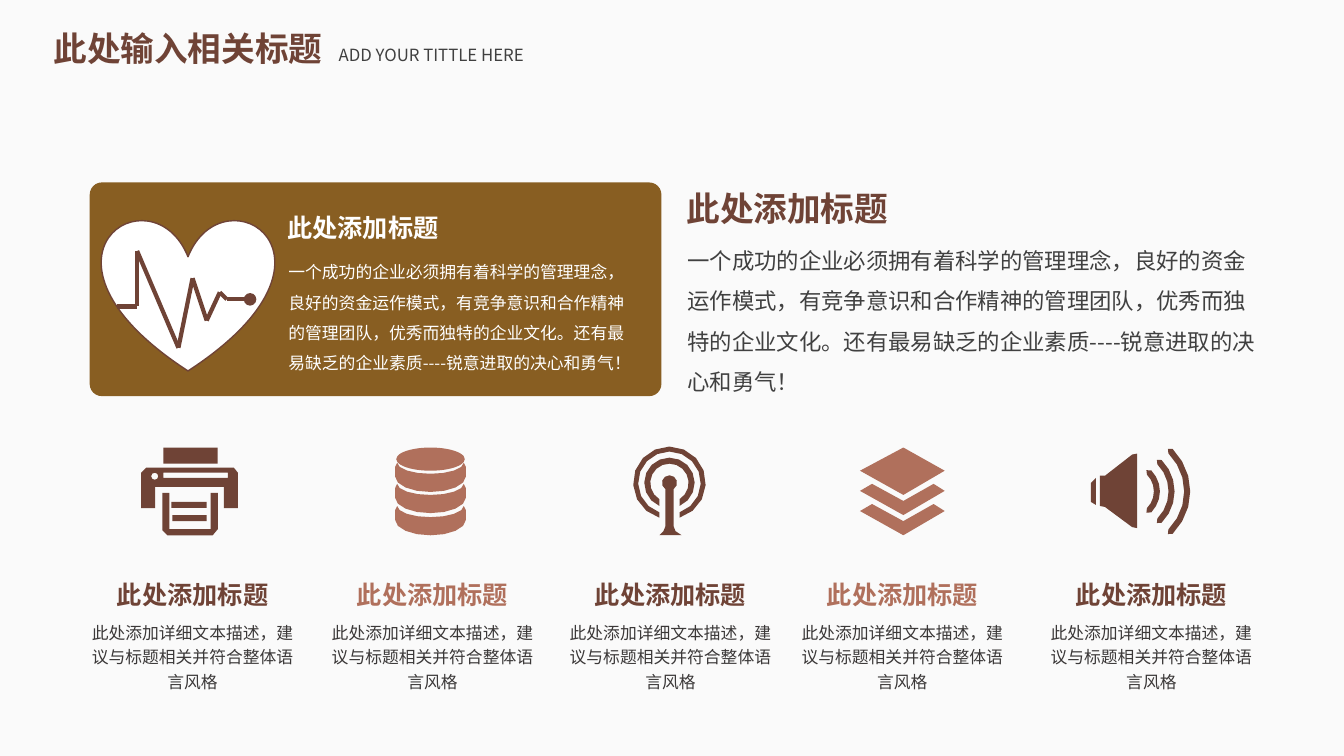
from itertools import pairwise
from math import asin, cos, pi, radians, sin

from lxml import etree
from pptx import Presentation, util as u
from pptx.dml.color import RGBColor
from pptx.enum import shapes, text
from pptx.oxml.ns import qn

# Slide grid: 1333 columns by 750 rows of square cells
CELL = u.Inches(0.01)
COLORS = {"brown": "6F4336", "rose": "B0705C", "ochre": "885E22", "white": "FFFFFF",
          "body": "404040", "caption": "3B3838", "paper": "FAFAFA"}
FONT = "Noto Sans CJK SC"
HEADING = "此处添加标题"
STORY = ("一个成功的企业必须拥有着科学的管理理念，良好的资金运作模式，有竞争意识和合作精神的管理团队，"
         "优秀而独特的企业文化。还有最易缺乏的企业素质----锐意进取的决心和勇气！")
CAPTION = "此处添加详细文本描述，建议与标题相关并符合整体语言风格"

prs = Presentation()
prs.slide_width, prs.slide_height = 1333 * CELL, 750 * CELL
slide = prs.slides.add_slide(prs.slide_layouts[5])
slide.background.fill.solid()
slide.background.fill.fore_color.rgb = RGBColor.from_string(COLORS["paper"])


def write(words, at, size, color, bold=False, align="LEFT", anchor="TOP",
          spacing=1.0, inset=(0, 0), holder=None):
    box = holder or slide.shapes.add_textbox(0, 0, 0, 0)
    box.left, box.top, box.width, box.height = (n * CELL for n in at)
    frame = box.text_frame
    frame.word_wrap = True
    frame.auto_size = text.MSO_AUTO_SIZE.SHAPE_TO_FIT_TEXT
    frame.vertical_anchor = text.MSO_ANCHOR[anchor]
    frame.margin_left = frame.margin_right = inset[0] * CELL
    frame.margin_top = frame.margin_bottom = inset[1] * CELL
    paragraph = frame.paragraphs[0]
    paragraph.alignment = text.PP_ALIGN[align]
    paragraph.line_spacing = spacing
    run = paragraph.add_run()
    run.text = words
    run.font.size, run.font.bold, run.font.name = u.Pt(size), bold, FONT
    run.font.color.rgb = RGBColor.from_string(COLORS[color])
    etree.SubElement(run._r.get_or_add_rPr(), qn("a:ea"), typeface=FONT)


def paint(shape, color, edge=None):
    shape.shadow.inherit = False
    shape.fill.solid()
    shape.fill.fore_color.rgb = RGBColor.from_string(COLORS[color])
    if edge:
        shape.line.color.rgb = RGBColor.from_string(COLORS[edge])
        shape.line.width = u.Pt(1)
    else:
        shape.line.fill.background()


# Slide title
write("此处输入相关标题", (43, 23, 305, 50), 24, "brown", bold=True,
      inset=(10, 5), holder=slide.shapes.title)
write("ADD YOUR TITTLE HERE", (326, 39, 279, 30), 12, "body", inset=(10, 5))

# Card, heart and the preset parts of the icons
presets = [
    ("ROUNDED_RECTANGLE", (89, 181, 567, 212), "ochre", None),
    ("HEART", (101, 217, 171, 151), "white", "brown"),
    ("RECTANGLE", (162, 444, 54, 16), "brown", None),
    ("RECTANGLE", (170, 498, 35, 6), "brown", None),
    ("RECTANGLE", (171, 511, 34, 6), "brown", None),
    ("OVAL", (393, 444, 68, 23), "rose", None),
]
for kind, at, color, edge in presets:
    part = slide.shapes.add_shape(shapes.MSO_SHAPE[kind], *(n * CELL for n in at))
    paint(part, color, edge)
    if kind == "ROUNDED_RECTANGLE":
        part.adjustments[0] = 0.057

# Heartbeat
beats = [(116, 304), (136, 304), (136, 249), (177, 345), (191, 276),
         (205, 318), (218, 290), (225, 297), (248, 297)]
for start, end in pairwise(beats):
    beat = slide.shapes.add_connector(shapes.MSO_CONNECTOR.STRAIGHT,
                                      *(n * CELL for n in start + end))
    beat.line.color.rgb = RGBColor.from_string(COLORS["brown"])
    beat.line.width = u.Pt(3)
    if end == beats[-1]:
        etree.SubElement(beat.line._get_or_add_ln(), qn("a:tailEnd"), type="oval")
    etree.SubElement(beat._element.spPr, qn("a:effectLst"))

# Printer: body with two holes, then the paper tray
knob = [(153.5 + 3.5 * cos(n * pi / 4), 472.5 + 3.5 * sin(n * pi / 4)) for n in range(8)]
slot = [(162, 469), (226, 469), (226, 474), (162, 474)]
body = [(145, 464), (232, 464), (236, 469), (236, 504), (222, 504), (222, 483),
        (154, 483), (154, 504), (140, 504), (140, 469)]
tray = [(161, 489), (168, 489), (168, 525), (209, 525), (209, 489), (216, 489), (216, 525),
        (211, 531), (166, 531), (161, 526)]
outlines = [("brown", [body, knob, slot]), ("brown", [tray])]

# Database: three curved bands
half_turn = [n * pi / 8 for n in range(9)]
for top in (459, 480, 502):
    dip = [(427 - 33 * cos(a), top + 11 * sin(a)) for a in half_turn]
    bulge = [(427 + 35 * cos(a), top + 14 + 15 * sin(a)) for a in half_turn]
    outlines.append(("rose", [dip + [(462, top + 4)] + bulge + [(392, top + 4)]]))

# Antenna: two rings open at the foot, and the mast with its round head
for outer, inner in ((36, 31), (25, 19)):
    ring = []
    for radius, order in ((outer, 1), (inner, -1)):
        gap = asin(10 / radius)
        turns = [gap + (2 * pi - 2 * gap) * n / 14 for n in range(15)][::order]
        ring += [(664 + radius * sin(a), 479 + radius * cos(a)) for a in turns]
    outlines.append(("brown", [ring]))
head = [(664 + 7.5 * sin(radians(a)), 479 + 7.5 * cos(radians(a))) for a in range(32, 329, 37)]
outlines.append(("brown", [head + [(660, 522), (658, 527), (654, 531),
                                   (676, 531), (670, 527), (668, 522)]]))

# Layers: two chevrons under a diamond
for top in (480, 500):
    outlines.append(("rose", [[(896, top + 17), (865, top), (853, top + 7), (896, top + 31),
                               (937, top + 7), (926, top)]]))
outlines.append(("rose", [[(896, 444), (937, 467), (896, 491), (853, 467)]]))

# Loudspeaker: cone, magnet and three concentric waves
outlines.append(("brown", [[(1091, 472), (1096, 472), (1123, 451), (1128, 450),
                            (1128, 524), (1123, 523), (1096, 503), (1091, 502)]]))
outlines.append(("brown", [[(1087, 474), (1087, 501), (1082, 498), (1082, 479)]]))
for radius in (26.5, 41, 56.5):
    sweep = [radians(a) for a in range(-45, 46, 15)]
    cap = radians(45) + 3.5 / radius
    edge = ([(radius + 3, a) for a in sweep] + [(radius, cap)]
            + [(radius - 3, a) for a in sweep[::-1]] + [(radius, -cap)])
    outlines.append(("brown", [[(1121 + r * cos(a), 487.5 + r * sin(a)) for r, a in edge]]))

# Draw every outline, in tenths of a cell
for color, contours in outlines:
    pen = None
    for contour in contours:
        first, *rest = [(round(10 * x), round(10 * y)) for x, y in contour]
        if pen is None:
            pen = slide.shapes.build_freeform(*first, scale=CELL / 10)
        else:
            pen.move_to(*first)
        pen.add_line_segments(rest, close=True)
    paint(pen.convert_to_shape(), color)

# Card text and main text
write(HEADING, (285, 211, 236, 30), 18, "white", bold=True, anchor="MIDDLE")
write(STORY, (274, 244, 365, 133), 12, "white", spacing=1.5, inset=(12, 6))
write(HEADING, (681, 186, 236, 40), 24, "brown", bold=True, anchor="MIDDLE")
write(STORY, (670, 226, 591, 174), 16, "body", spacing=1.5, inset=(12, 6))

# Five columns under the icons
for number, left in enumerate((72, 310, 546, 776, 1023)):
    write(HEADING, (left + 23, 575, 192, 30), 18, ("brown", "rose")[number % 2],
          bold=True, align="CENTER")
    write(CAPTION, (left, 608, 238, 85), 12, "caption", align="CENTER",
          spacing=1.2, inset=(12, 6))

prs.save("out.pptx")
